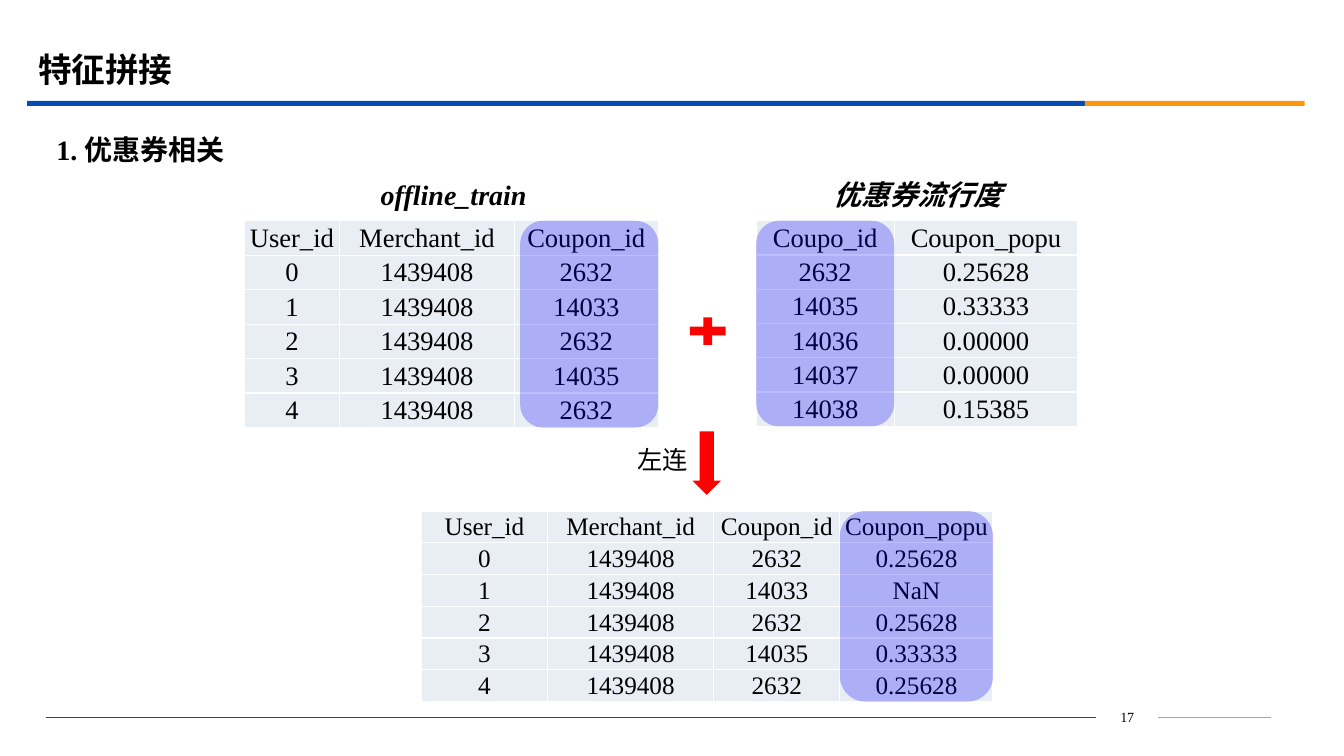
from lxml import etree
from pptx import Presentation
from pptx.dml.color import RGBColor
from pptx.enum.shapes import MSO_CONNECTOR, MSO_SHAPE
from pptx.enum.text import MSO_ANCHOR, PP_ALIGN
from pptx.oxml.ns import qn
from pptx.util import Inches, Pt

RECT, ROUNDED = MSO_SHAPE.RECTANGLE, MSO_SHAPE.ROUNDED_RECTANGLE
PLUS, DOWN = MSO_SHAPE.MATH_PLUS, MSO_SHAPE.DOWN_ARROW
STRAIGHT = MSO_CONNECTOR.STRAIGHT
LEFT, CENTER = PP_ALIGN.LEFT, PP_ALIGN.CENTER
MIDDLE = MSO_ANCHOR.MIDDLE

FONT = "Times New Roman"
COLORS = {"text": "000000", "blue": "064BB2", "orange": "FB9708", "cell": "E9EDF4",
          "white": "FFFFFF", "red": "FF0000", "mark": "0000FF",
          "dark": "404040", "grey": "A6A6A6"}
CELL_MARGINS = {"margin_left": Inches(0.01), "margin_right": Inches(0.01),
                "margin_top": Inches(0.01), "margin_bottom": 0,
                "vertical_anchor": MIDDLE}


def grid(n):
    """Length of n grid columns or rows, ten to the inch."""
    return Inches(n / 10)


def rgb(name):
    return RGBColor.from_string(COLORS[name])


class SlideBuilder:
    def __init__(self, slide):
        self.slide = slide

    def put_text(self, tf, text, size, align=CENTER, **formats):
        p = tf.paragraphs[0]
        p.alignment = align
        r = p.add_run()
        r.text = text
        r.font.color.rgb = rgb("text")
        for key, value in {"name": FONT, "size": Pt(size), **formats}.items():
            setattr(r.font, key, value)

    def text(self, x, y, w, h, text, size, align=CENTER, **formats):
        sp = self.slide.shapes.add_textbox(*map(grid, (x, y, w, h)))
        tf = sp.text_frame
        tf.word_wrap = True
        tf.vertical_anchor = MIDDLE
        self.put_text(tf, text, size, align, **formats)

    def shape(self, kind, x, y, w, h, color, alpha=None):
        sp = self.slide.shapes.add_shape(kind, *map(grid, (x, y, w, h)))
        sp.shadow.inherit = False
        sp.fill.solid()
        sp.fill.fore_color.rgb = rgb(color)
        sp.line.fill.background()
        if alpha:
            clr = sp._element.spPr.find(qn("a:solidFill"))[0]
            etree.SubElement(clr, qn("a:alpha")).set("val", str(alpha * 1000))

    def rule(self, x1, x2, y, color):
        sp = self.slide.shapes.add_connector(STRAIGHT, *map(grid, (x1, y, x2, y)))
        sp.line.color.rgb = rgb(color)
        sp.line.width = Pt(0.75)
        etree.SubElement(sp._element.spPr, qn("a:effectLst"))

    def borders(self, cell):
        tc_pr = cell._tc.get_or_add_tcPr()
        for i, side in enumerate(("lnL", "lnR", "lnT", "lnB")):
            ln = etree.Element(qn(f"a:{side}"), w=str(Pt(1)))
            fill = etree.SubElement(ln, qn("a:solidFill"))
            etree.SubElement(fill, qn("a:srgbClr")).set("val", COLORS["white"])
            tc_pr.insert(i, ln)

    def table(self, x, y, widths, row_height, size, rows, marked, mark_width):
        """Draw a table with a tinted block against the right edge of one column."""
        height = row_height * len(rows)
        frame = self.slide.shapes.add_table(
            len(rows), len(widths), *map(grid, (x, y, sum(widths), height)))
        table = frame.table
        table.first_row = table.horz_banding = False
        for column, width in zip(table.columns, widths):
            column.width = grid(width)
        for i, row in enumerate(rows):
            table.rows[i].height = grid(row_height)
            for j, value in enumerate(row):
                cell = table.cell(i, j)
                for key, setting in CELL_MARGINS.items():
                    setattr(cell, key, setting)
                cell.fill.solid()
                cell.fill.fore_color.rgb = rgb("cell")
                self.borders(cell)
                self.put_text(cell.text_frame, value, size)
        right = x + sum(widths[:marked + 1])
        self.shape(ROUNDED, right - mark_width, y, mark_width, height, "mark", 26)


def main():
    prs = Presentation()
    prs.slide_width, prs.slide_height = Inches(13.33), Inches(7.5)
    s = SlideBuilder(prs.slides.add_slide(prs.slide_layouts[6]))

    s.shape(RECT, 2.7, 10, 104.9, 0.5, "blue")
    s.shape(RECT, 107.6, 10, 21.8, 0.5, "orange")
    s.rule(4.6, 108.7, 71.2, "dark")
    s.rule(114.9, 126.1, 71.2, "grey")
    s.text(108.7, 69.9, 6.2, 2.5, "17", 10)
    s.text(2.8, 3.9, 120, 5.8, "特征拼接", 24, LEFT, bold=True)
    s.text(4.6, 12.5, 121.5, 4.7, "1. 优惠券相关", 20, LEFT, bold=True)

    coupons = ["2632", "14033", "2632", "14035", "2632"]
    train = [[str(user), "1439408", coupon] for user, coupon in enumerate(coupons)]
    header = ["User_id", "Merchant_id", "Coupon_id"]
    popularity = {"2632": "0.25628", "14035": "0.33333", "14036": "0.00000",
                  "14037": "0.00000", "14038": "0.15385"}
    joined = [row + [popularity.get(row[-1], "NaN")] for row in train]

    s.text(36.7, 17.1, 16.6, 4.4, "offline_train", 20, bold=True, italic=True)
    s.text(81.5, 17.1, 19, 4.4, "优惠券流行度", 20, bold=True, italic=True)
    s.table(24.2, 21.9, [9.5, 17.3, 14.3], 3.42, 19, [header] + train, 2, 13.7)
    s.table(75, 21.9, [13.7, 18.2], 3.4, 19,
            [["Coupo_id", "Coupon_popu"], *popularity.items()], 0, 13.7)
    s.table(41.8, 50.7, [12.5, 16.5, 12.5, 15.2], 3.15, 18,
            [header + ["Coupon_popu"]] + joined, 3, 15.2)

    s.shape(PLUS, 67.8, 31, 4.8, 3.7, "red")
    s.shape(DOWN, 68.7, 42.8, 2.8, 6.3, "red")
    s.text(61.2, 43.2, 9, 4.7, "左连", 18)
    prs.save("out.pptx")


if __name__ == "__main__":
    main()
